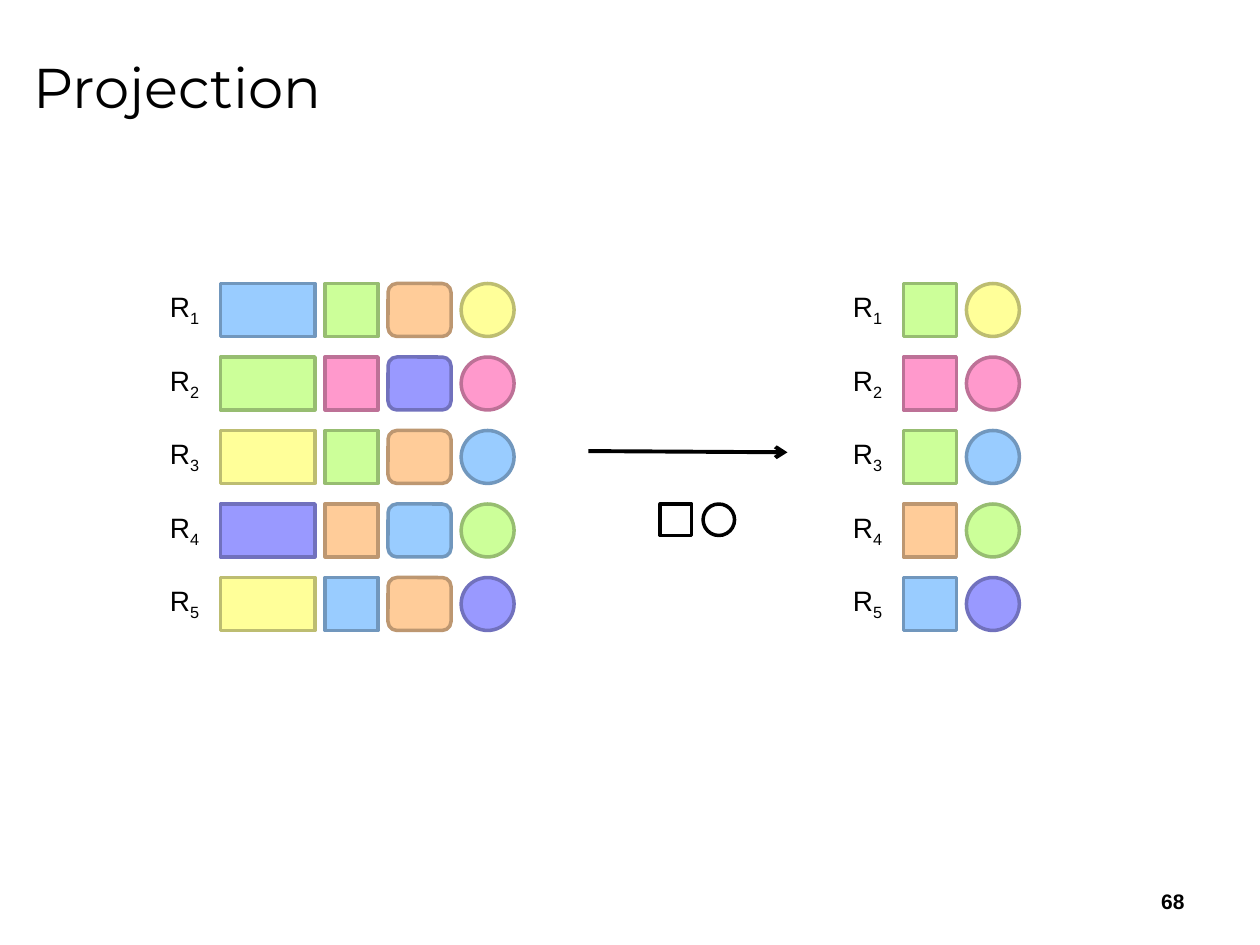
from lxml import etree
from pptx import Presentation
from pptx.dml.color import RGBColor
from pptx.enum.shapes import MSO_CONNECTOR as CONN, MSO_SHAPE as SHAPE
from pptx.enum.text import MSO_ANCHOR as ANCHOR, PP_ALIGN as ALIGN
from pptx.oxml.ns import qn
from pptx.util import Inches, Pt

# Each record colour has a fill and a darker outline
FILLS = {"blue": "99CCFF", "green": "CCFF99", "orange": "FFCC99",
         "yellow": "FFFF99", "pink": "FF99CC", "purple": "9999FF"}
LINES = {"blue": "7197BD", "green": "97BD71", "orange": "BD9771",
         "yellow": "BDBD71", "pink": "BD7197", "purple": "7171BD"}
BLACK = "000000"

# Attributes of a record: shape and width, in column order
ATTRIBUTES = [(SHAPE.RECTANGLE, 0.75), (SHAPE.RECTANGLE, 0.42),
              (SHAPE.ROUNDED_RECTANGLE, 0.5), (SHAPE.OVAL, 0.42)]
RECORDS = [("blue", "green", "orange", "yellow"),
           ("green", "pink", "purple", "pink"),
           ("yellow", "green", "orange", "blue"),
           ("purple", "orange", "blue", "green"),
           ("yellow", "blue", "orange", "purple")]
KEPT = [1, 3]  # columns that the projection keeps

CELL_H, GAP, LABEL_W = 0.42, 0.08, 0.5
ROW_PITCH = 7 / 12


def add_text(slide, text, x, y, w, h, size=16, font="Arial", bold=False,
             align=ALIGN.LEFT, anchor=ANCHOR.TOP, wrap=True, subscript=""):
    tf = slide.shapes.add_textbox(Inches(x), Inches(y), Inches(w), Inches(h)).text_frame
    tf.word_wrap = wrap
    tf.vertical_anchor = anchor
    p = tf.paragraphs[0]
    p.alignment = align
    for part in filter(None, (text, subscript)):
        r = p.add_run()
        r.text = part
        r.font.size = Pt(size)
        r.font.name = font
        r.font.bold = bold
        r.font.color.rgb = RGBColor.from_string(BLACK)
    if subscript:
        r.font._element.set("baseline", "-25000")


def add_cell(slide, kind, x, y, w, h, line, fill=None):
    sp = slide.shapes.add_shape(kind, Inches(x), Inches(y), Inches(w), Inches(h))
    sp.shadow.inherit = False
    if fill:
        sp.fill.solid()
        sp.fill.fore_color.rgb = RGBColor.from_string(fill)
    else:
        sp.fill.background()
    sp.line.color.rgb = RGBColor.from_string(line)
    sp.line.width = Pt(2)


def add_relation(slide, x, y, columns):
    """Labelled records, one a row, showing only the given columns."""
    for i, record in enumerate(RECORDS):
        top = y + i * ROW_PITCH
        add_text(slide, "R", x, top, 0.45, 0.37, wrap=False, subscript=str(i + 1))
        left = x + LABEL_W
        for col in columns:
            kind, width = ATTRIBUTES[col]
            color = record[col]
            add_cell(slide, kind, left, top, width, CELL_H, LINES[color], FILLS[color])
            left += width + GAP


def add_operator(slide, x, y, w):
    """Arrow with the kept attribute shapes below it."""
    arrow = slide.shapes.add_connector(CONN.STRAIGHT, Inches(x), Inches(y),
                                       Inches(x + w), Inches(y + 0.01))
    arrow.line.color.rgb = RGBColor.from_string(BLACK)
    arrow.line.width = Pt(2.25)
    etree.SubElement(arrow.line._get_or_add_ln(), qn("a:tailEnd"), type="arrow")
    etree.SubElement(arrow._element.spPr, qn("a:effectLst"))
    for i, col in enumerate(KEPT):
        add_cell(slide, ATTRIBUTES[col][0], x + 0.57 + i * 0.34, y + 0.42,
                 0.25, 0.25, BLACK)


def build_slide(prs):
    slide = prs.slides.add_slide(prs.slide_layouts[6])
    # Title
    add_text(slide, "Projection", 0.17, 0.12, 9.5, 1.12, size=32,
             font="Montserrat", anchor=ANCHOR.MIDDLE)
    # Input relation, operator, result
    add_relation(slide, 1.25, 2.25, range(len(ATTRIBUTES)))
    add_operator(slide, 4.67, 3.58, 1.58)
    add_relation(slide, 6.67, 2.25, KEPT)
    # Slide number
    add_text(slide, "68", 7.17, 6.95, 2.33, 0.4, size=12, bold=True,
             align=ALIGN.RIGHT, anchor=ANCHOR.MIDDLE)


def main():
    prs = Presentation()
    prs.slide_width, prs.slide_height = Inches(10), Inches(7.5)
    build_slide(prs)
    prs.save("out.pptx")


if __name__ == "__main__":
    main()
